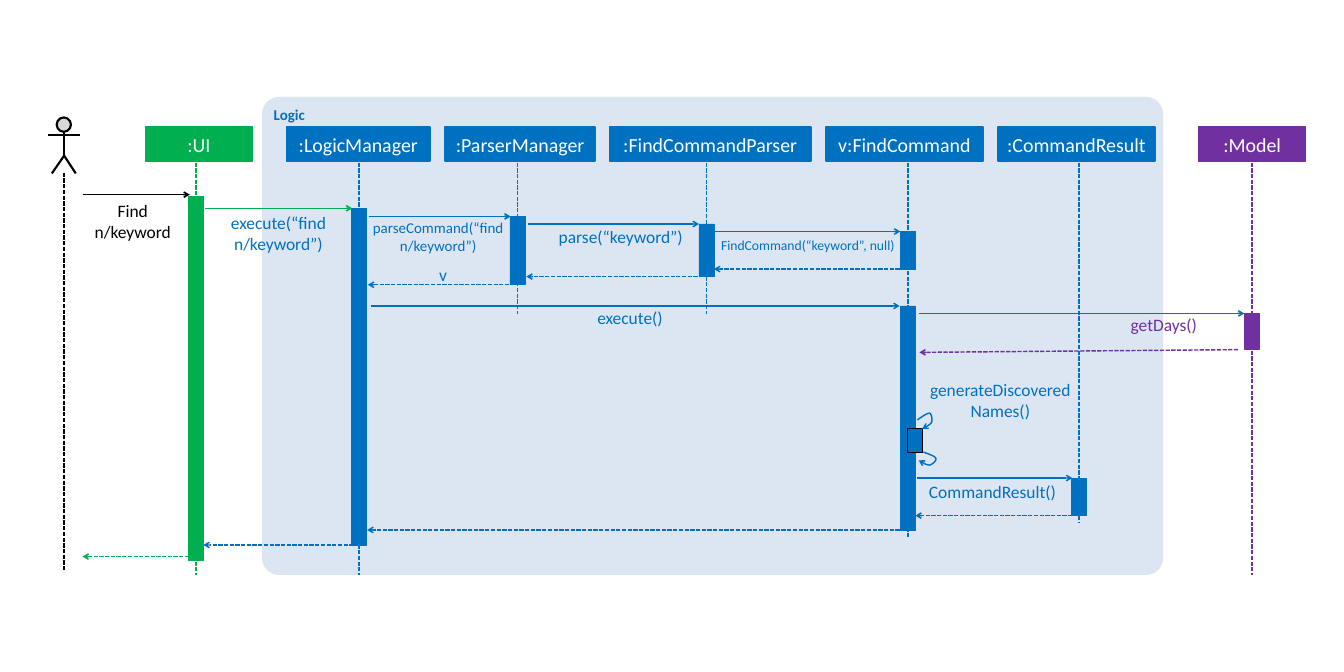
from dataclasses import dataclass

from lxml.etree import SubElement
from pptx import Presentation
from pptx.dml.color import RGBColor
from pptx.enum.dml import MSO_LINE
from pptx.enum.shapes import MSO_CONNECTOR, MSO_SHAPE
from pptx.enum.text import MSO_ANCHOR, MSO_AUTO_SIZE, PP_ALIGN
from pptx.oxml.ns import qn
from pptx.util import Inches, Pt


@dataclass(frozen=True)
class Theme:
    font: str = "Calibri"
    black: str = "000000"
    white: str = "FFFFFF"
    head: str = "D9D9D9"
    frame: str = "DCE6F2"
    ui: str = "00B050"
    logic: str = "0070C0"
    model: str = "7030A0"
    header_size: float = 21
    label_size: float = 18.4
    small_size: float = 15.8
    tiny_size: float = 14.4
    thin: float = 0.75
    line: float = 1.5
    thick: float = 2.25


THEME = Theme()
HEADER_TOP, HEADER_HEIGHT, BAR_WIDTH = 1.86, 0.5, 0.22
LIFELINE_TOP = 2.38

# Content: name, colour, header left and width, lifeline x and end, activations (top, height)
PARTICIPANTS = [
    (":UI", THEME.ui, 2.13, 1.57, 2.87, 8.42, [(2.88, 5.32)]),
    (":LogicManager", THEME.logic, 4.2, 2.1, 5.26, 8.42, [(3.05, 4.93)]),
    (":ParserManager", THEME.logic, 6.52, 2.2, 7.58, 4.6, [(3.17, 1)]),
    (":FindCommandParser", THEME.logic, 8.93, 2.95, 10.35, 4.6, [(3.28, 0.77)]),
    ("v:FindCommand", THEME.logic, 12.1, 2.3, 13.3, 7.87, [(3.39, 0.55), (4.48, 3.28)]),
    (":CommandResult", THEME.logic, 14.62, 2.3, 15.81, 7.65, [(7, 0.55)]),
    (":Model", THEME.model, 17.56, 1.57, 18.34, 8.42, [(4.59, 0.53)]),
]

# Calls: start x, end x, y, colour
CALLS = [
    (1.21, 2.78, 2.85, THEME.black),
    (3.01, 5.16, 3.05, THEME.ui),
    (5.4, 7.48, 3.17, THEME.logic),
    (7.73, 10.24, 3.28, THEME.logic),
    (10.46, 13.19, 3.39, THEME.logic),
    (5.43, 13.18, 4.48, THEME.logic),
    (13.47, 18.23, 4.59, THEME.logic),
    (13.44, 15.71, 7, THEME.logic),
]

# Returns: start point, end point, colour
RETURNS = [
    ((13.18, 3.94), (10.46, 3.94), THEME.logic),
    ((10.22, 4.05), (7.71, 4.05), THEME.logic),
    ((7.46, 4.17), (5.39, 4.17), THEME.logic),
    ((18.14, 5.12), (13.47, 5.16), THEME.model),
    ((15.71, 7.55), (13.41, 7.55), THEME.logic),
    ((13.18, 7.76), (5.38, 7.76), THEME.logic),
    ((5.18, 7.98), (2.98, 7.98), THEME.logic),
    ((2.77, 8.15), (1.21, 8.15), THEME.ui),
]

# Labels: text, left, top, width, height, colour, size
LABELS = [
    ("Find n/keyword", 1.33, 2.93, 1.23, 0.62, THEME.black, THEME.label_size),
    ("execute(“find n/keyword”)", 3.06, 3.11, 2.04, 0.62, THEME.logic, THEME.label_size),
    ("parseCommand(“find n/keyword”)", 5.4, 3.2, 2.04, 0.53, THEME.logic, THEME.small_size),
    ("parse(“keyword”)", 8.16, 3.31, 1.87, 0.31, THEME.logic, THEME.label_size),
    ("FindCommand(“keyword”, null)", 10.49, 3.47, 2.69, 0.24, THEME.logic, THEME.tiny_size),
    ("v", 5.64, 3.87, 1.7, 0.31, THEME.logic, THEME.label_size),
    ("execute()", 8.38, 4.5, 1.7, 0.31, THEME.logic, THEME.label_size),
    ("getDays()", 16.17, 4.6, 1.76, 0.31, THEME.model, THEME.label_size),
    ("generateDiscoveredNames()", 13.6, 5.55, 2.11, 0.62, THEME.logic, THEME.label_size),
    ("CommandResult()", 13.59, 7.04, 1.9, 0.31, THEME.logic, THEME.label_size),
]

# Self-call loops: Bezier points, three for each segment after the start
SELF_CALL_LOOPS = [
    [(13.44, 6.15), (13.51, 6.1), (13.58, 6.05), (13.62, 6.05), (13.65, 6.06),
     (13.66, 6.15), (13.65, 6.18), (13.63, 6.22), (13.57, 6.25), (13.51, 6.28)],
    [(13.53, 6.62), (13.61, 6.65), (13.7, 6.68), (13.71, 6.71), (13.73, 6.74),
     (13.66, 6.8), (13.62, 6.81), (13.58, 6.81), (13.52, 6.78), (13.46, 6.74)],
]


def color(code):
    return RGBColor.from_string(code)


def style_line(shape, code, width, dashed=False, arrow=False):
    shape.line.color.rgb = color(code)
    shape.line.width = Pt(width)
    if dashed:
        shape.line.dash_style = MSO_LINE.SQUARE_DOT
    if arrow:
        SubElement(shape.line._get_or_add_ln(), qn("a:tailEnd"), type="arrow")


def add_line(shapes, start, end, code, width=THEME.line, dashed=False, arrow=False):
    ends = [Inches(value) for value in (*start, *end)]
    connector = shapes.add_connector(MSO_CONNECTOR.STRAIGHT, *ends)
    style_line(connector, code, width, dashed, arrow)
    SubElement(connector._element.spPr, qn("a:effectLst"))


def add_box(shapes, kind, bounds, fill, outline=None, width=THEME.thin):
    shape = shapes.add_shape(kind, *[Inches(value) for value in bounds])
    shape.shadow.inherit = False
    shape.fill.solid()
    shape.fill.fore_color.rgb = color(fill)
    if outline:
        style_line(shape, outline, width)
    else:
        shape.line.fill.background()
    return shape


def add_path(shapes, points, code, width, arrow=False):
    corners = [(Inches(x), Inches(y)) for x, y in points]
    builder = shapes.build_freeform(*corners[0])
    builder.add_line_segments(corners[1:], close=False)
    shape = builder.convert_to_shape()
    shape.shadow.inherit = False
    shape.fill.background()
    style_line(shape, code, width, arrow=arrow)


def write(shape, text, code, size, align=PP_ALIGN.CENTER, bold=False):
    shape.text_frame.text = text
    paragraph = shape.text_frame.paragraphs[0]
    paragraph.alignment = align
    font = paragraph.runs[0].font
    font.name, font.size, font.bold = THEME.font, Pt(size), bold
    font.color.rgb = color(code)


def smooth(points, steps=8):
    curve = [points[0]]
    for first in range(0, len(points) - 1, 3):
        a, b, c, d = points[first:first + 4]
        for step in range(1, steps + 1):
            t = step / steps
            weights = ((1 - t) ** 3, 3 * t * (1 - t) ** 2, 3 * t * t * (1 - t), t ** 3)
            curve.append(tuple(sum(w * p[axis] for w, p in zip(weights, (a, b, c, d)))
                               for axis in (0, 1)))
    return curve


presentation = Presentation()
presentation.slide_width, presentation.slide_height = Inches(19.69), Inches(9.84)
slide = presentation.slides.add_slide(presentation.slide_layouts[6])
shapes = slide.shapes

# Logic frame
frame = add_box(shapes, MSO_SHAPE.ROUNDED_RECTANGLE, (3.84, 1.42, 13.2, 7), THEME.frame)
frame.adjustments[0] = 0.035
frame.text_frame.vertical_anchor = MSO_ANCHOR.TOP
write(frame, "Logic", THEME.logic, THEME.small_size, PP_ALIGN.LEFT, bold=True)

# Actor and its lifeline
actor = shapes.add_group_shape().shapes
add_box(actor, MSO_SHAPE.FLOWCHART_CONNECTOR, (0.83, 1.72, 0.21, 0.21),
        THEME.head, THEME.black, THEME.thick)
add_line(actor, (0.94, 1.93), (0.94, 2.29), THEME.black, THEME.thick)
add_line(actor, (0.7, 1.98), (1.17, 1.98), THEME.black, THEME.thick)
add_path(actor, [(0.76, 2.54), (0.94, 2.28), (1.11, 2.54)], THEME.black, THEME.thick)
add_line(shapes, (0.94, 2.53), (0.94, 8.37), THEME.black, dashed=True)

# Participants with lifelines and activation bars
for name, code, left, width, center, bottom, activations in PARTICIPANTS:
    header = add_box(shapes, MSO_SHAPE.RECTANGLE, (left, HEADER_TOP, width, HEADER_HEIGHT),
                     code, code, THEME.line)
    header.text_frame.vertical_anchor = MSO_ANCHOR.MIDDLE
    write(header, name, THEME.white, THEME.header_size)
    add_line(shapes, (center, LIFELINE_TOP), (center, bottom), code, dashed=True)
    for top, height in activations:
        add_box(shapes, MSO_SHAPE.RECTANGLE, (center - BAR_WIDTH / 2, top, BAR_WIDTH, height),
                code, code)

# Messages
for start, end, y, code in CALLS:
    add_line(shapes, (start, y), (end, y), code, arrow=True)
for start, end, code in RETURNS:
    add_line(shapes, start, end, code, dashed=True, arrow=True)

# Self call
add_box(shapes, MSO_SHAPE.RECTANGLE, (13.3, 6.28, BAR_WIDTH, 0.34), THEME.logic, THEME.black)
for loop in SELF_CALL_LOOPS:
    add_path(shapes, smooth(loop), THEME.logic, THEME.line, arrow=True)

# Message labels
for text, left, top, width, height, code, size in LABELS:
    label = shapes.add_textbox(Inches(left), Inches(top), Inches(width), Inches(height))
    area = label.text_frame
    area.word_wrap, area.auto_size = True, MSO_AUTO_SIZE.SHAPE_TO_FIT_TEXT
    area.margin_left = area.margin_right = area.margin_top = area.margin_bottom = 0
    write(label, text, code, size)

presentation.save("out.pptx")
